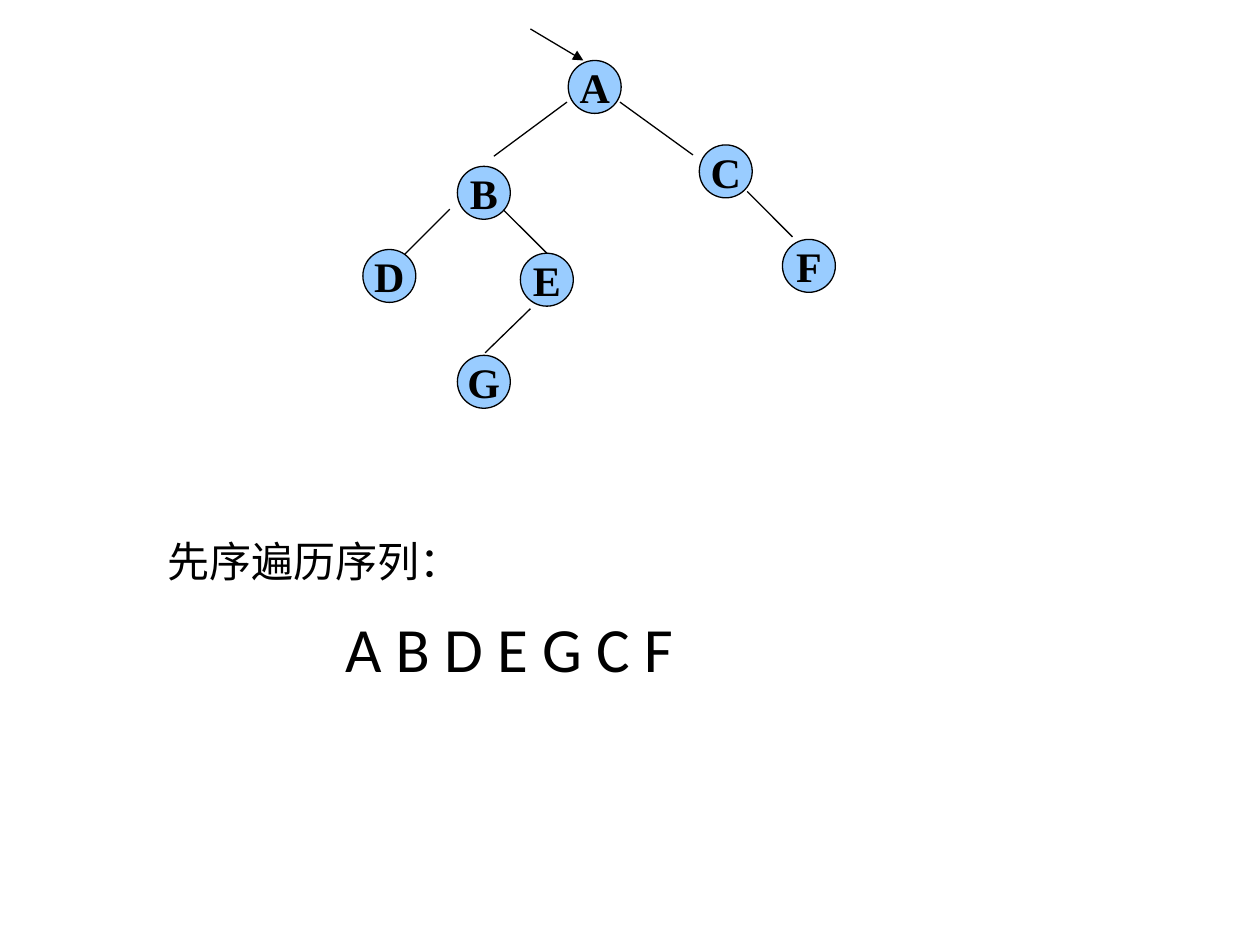
from dataclasses import dataclass

from lxml import etree
from pptx import Presentation
from pptx.dml.color import RGBColor
from pptx.enum.shapes import MSO_CONNECTOR, MSO_SHAPE
from pptx.enum.text import MSO_ANCHOR, PP_ALIGN
from pptx.oxml.ns import qn
from pptx.util import Inches, Pt

STRAIGHT = MSO_CONNECTOR.STRAIGHT
OVAL = MSO_SHAPE.OVAL
MIDDLE = MSO_ANCHOR.MIDDLE
CENTER = PP_ALIGN.CENTER


@dataclass(frozen=True)
class Theme:
    ink: RGBColor = RGBColor(0, 0, 0)
    node_fill: RGBColor = RGBColor(0x99, 0xCC, 0xFF)
    node_font: str = "Times New Roman"
    body_font: str = "Calibri"
    node_size: Pt = Pt(24)
    label_size: Pt = Pt(24)
    sequence_size: Pt = Pt(36)
    line_width: Pt = Pt(0.75)


THEME = Theme()

# The slide is a grid of 100 columns by 75 rows.
COLUMNS, ROWS = 100, 75
CELL = Inches(0.1)

# Boxes are left, top, width, height in grid cells.
TREE_BOX = (28.8, 2.3, 37.5, 30.1)
TRAVERSAL_BOX = (12.3, 42, 64.5, 13)

# Tree positions are in cells from the corner of the tree box.
NODE_DIAMETER = 4.2
NODES = {
    "A": (16.3, 2.5),
    "B": (7.5, 10.9),
    "C": (26.7, 9.2),
    "D": (0, 17.5),
    "E": (12.5, 17.8),
    "F": (33.3, 16.7),
    "G": (7.5, 25.9),
}
EDGES = {
    "AB": ((16.2, 5.8), (10.4, 10.1)),
    "AC": ((20.4, 5.8), (26.2, 10)),
    "BD": ((6.9, 14.3), (3.3, 17.9)),
    "BE": ((11.1, 14.3), (14.7, 17.9)),
    "CF": ((30.5, 12.9), (34.1, 16.5)),
    "EG": ((13.3, 22.2), (9.7, 25.7)),
}
ROOT_ARROW = ((13.3, 0), (17.5, 2.5))


def cells(*counts):
    return [round(count * CELL) for count in counts]


def style_text(para, font_name, size, bold=False):
    font = para.font
    font.name, font.size, font.bold = font_name, size, bold
    font.color.rgb = THEME.ink


def add_line(page, box, start, end, arrow=False):
    left, top = box[:2]
    ends = cells(left + start[0], top + start[1], left + end[0], top + end[1])
    line = page.shapes.add_connector(STRAIGHT, *ends)
    line.line.color.rgb = THEME.ink
    line.line.width = THEME.line_width
    if arrow:
        etree.SubElement(line.line._get_or_add_ln(), qn("a:tailEnd"), type="triangle")
    etree.SubElement(line._element.spPr, qn("a:effectLst"))


def add_node(page, box, letter, position):
    place = cells(box[0] + position[0], box[1] + position[1], NODE_DIAMETER, NODE_DIAMETER)
    node = page.shapes.add_shape(OVAL, *place)
    node.shadow.inherit = False
    node.fill.solid()
    node.fill.fore_color.rgb = THEME.node_fill
    node.line.color.rgb = THEME.ink
    node.line.width = THEME.line_width
    frame = node.text_frame
    frame.word_wrap = False
    frame.vertical_anchor = MIDDLE
    para = frame.paragraphs[0]
    para.text = letter
    para.alignment = CENTER
    style_text(para, THEME.node_font, THEME.node_size, bold=True)


def add_tree(page, box):
    for start, end in EDGES.values():
        add_line(page, box, start, end)
    for letter, position in NODES.items():
        add_node(page, box, letter, position)
    add_line(page, box, *ROOT_ARROW, arrow=True)


def add_text(page, place, text, size):
    frame = page.shapes.add_textbox(*cells(*place)).text_frame
    frame.word_wrap = True
    para = frame.paragraphs[0]
    para.text = text
    style_text(para, THEME.body_font, size)


def add_traversal(page, box):
    """Place the label at the top left and the sequence at the bottom right."""
    left, top, width, height = box
    label_width, label_height = 55.3, 5
    sequence_width, sequence_height = 50.4, 7.1
    add_text(page, (left, top, label_width, label_height),
             "先序遍历序列：", THEME.label_size)
    add_text(page, (left + width - sequence_width, top + height - sequence_height,
                    sequence_width, sequence_height),
             "A B D E G C F", THEME.sequence_size)


def main():
    deck = Presentation()
    deck.slide_width, deck.slide_height = cells(COLUMNS, ROWS)
    page = deck.slides.add_slide(deck.slide_layouts[6])
    add_tree(page, TREE_BOX)
    add_traversal(page, TRAVERSAL_BOX)
    deck.save("out.pptx")


if __name__ == "__main__":
    main()
